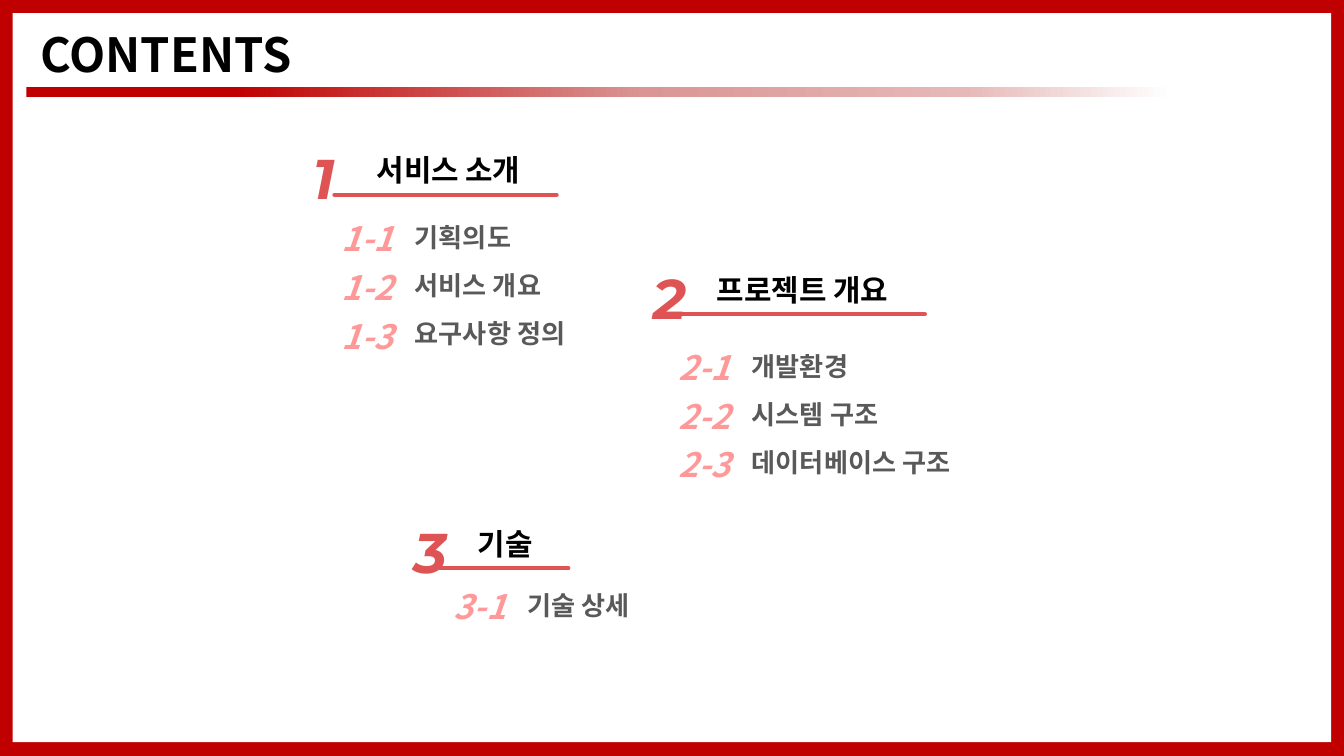
from dataclasses import dataclass

from lxml import etree
from pptx import Presentation
from pptx.dml.color import RGBColor
from pptx.enum.shapes import MSO_CONNECTOR, MSO_SHAPE
from pptx.enum.text import MSO_ANCHOR, MSO_AUTO_SIZE, PP_ALIGN
from pptx.oxml.ns import qn
from pptx.util import Cm, Pt

RECTANGLE = MSO_SHAPE.RECTANGLE
STRAIGHT = MSO_CONNECTOR.STRAIGHT
MIDDLE = MSO_ANCHOR.MIDDLE
LEFT = PP_ALIGN.LEFT
NO_AUTO_SIZE = MSO_AUTO_SIZE.NONE
FIT_SHAPE = MSO_AUTO_SIZE.SHAPE_TO_FIT_TEXT

WIDTH, HEIGHT = 25.4, 14.29
KOREAN_FONT = "Noto Sans CJK KR"
NUMBER_FONT = "Montserrat"
RED, WHITE, BLACK = "C00000", "FFFFFF", "000000"
CORAL, PINK, GRAY = "DE5454", "FF9999", "595959"
BAR_STOPS = [(18, RED), (54, "D99694"), (82, "E6B9B8"), (100, WHITE)]
ITEM_SPACING = 1.21
TOPIC_PITCH = 0.91
CODE_PITCH = 0.93


@dataclass
class Section:
    """One numbered section; positions and widths are in centimetres."""
    number: int
    corner: tuple
    heading: tuple
    rule: tuple
    codes_corner: tuple
    topics: list


SECTIONS = [
    Section(1, (5.66, 2.59), ("서비스 소개", 3.56), (6.32, 10.52), (6.2, 3.84),
            [("기획의도", 2.51), ("서비스 개요", 3.18), ("요구사항 정의", 3.68)]),
    Section(2, (12.09, 4.85), ("프로젝트 개요", 4.14), (12.85, 17.48), (12.57, 6.27),
            [("개발환경", 2.51), ("시스템 구조", 3.18), ("데이터베이스 구조", 4.67)]),
    Section(3, (7.57, 9.65), ("기술", 1.65), (8.13, 10.74), (8.33, 10.8),
            [("기술 상세", 2.69)]),
]


def color(value):
    return RGBColor.from_string(value)


def add_run(paragraph, text, size, fill, font=KOREAN_FONT, italic=False):
    run = paragraph.add_run()
    run.text = text
    run.font.size = Pt(size)
    run.font.name = font
    run.font.bold = True
    run.font.italic = italic
    run.font.color.rgb = color(fill)
    east_asian = etree.SubElement(run.font._element, qn("a:ea"))
    east_asian.set("typeface", font)


def add_text(shapes, box, lines, size, fill, spacing=None, **style):
    shape = shapes.add_textbox(*(Cm(length) for length in box))
    frame = shape.text_frame
    frame.word_wrap = False
    frame.auto_size = FIT_SHAPE
    for index, line in enumerate(lines):
        paragraph = frame.add_paragraph() if index else frame.paragraphs[0]
        paragraph.alignment = LEFT
        if spacing:
            paragraph.line_spacing = spacing
        add_run(paragraph, line, size, fill, **style)


def add_rectangle(shapes, box, fill):
    shape = shapes.add_shape(RECTANGLE, *(Cm(length) for length in box))
    shape.shadow.inherit = False
    shape.line.fill.background()
    shape.fill.solid()
    shape.fill.fore_color.rgb = color(fill)
    return shape


def set_gradient(shape, stops):
    """Fill the shape from left to right with (percent, colour) stops."""
    shape.fill.gradient()
    shape.fill.gradient_angle = 0
    stop_list = shape.element.spPr.find(".//" + qn("a:gsLst"))
    for stop in list(stop_list):
        stop_list.remove(stop)
    for percent, value in stops:
        stop = etree.SubElement(stop_list, qn("a:gs"), pos=str(percent * 1000))
        etree.SubElement(stop, qn("a:srgbClr"), val=value)


def add_rule(shapes, start, end, y):
    rule = shapes.add_connector(STRAIGHT, Cm(start), Cm(y), Cm(end), Cm(y))
    rule.line.color.rgb = color(CORAL)
    rule.line.width = Pt(2.25)
    properties = rule.element.spPr
    properties.find(qn("a:ln")).set("cap", "rnd")
    etree.SubElement(properties, qn("a:effectLst"))


def add_title(slide, text):
    title = slide.shapes.title
    title.left, title.top, title.width, title.height = Cm(0.51), Cm(0.36), Cm(23.6), Cm(1.3)
    frame = title.text_frame
    frame.auto_size = NO_AUTO_SIZE
    frame.vertical_anchor = MIDDLE
    frame.paragraphs[0].alignment = LEFT
    add_run(frame.paragraphs[0], text, 25.2, BLACK)
    # Bring the title in front of the page frame.
    title.element.getparent().append(title.element)


def add_page_frame(shapes):
    add_rectangle(shapes, (0, 0, WIDTH, HEIGHT), RED)
    add_rectangle(shapes, (0.24, 0.25, 24.92, 13.78), WHITE)
    bar = add_rectangle(shapes, (0.5, 1.64, 21.64, 0.2), RED)
    set_gradient(bar, BAR_STOPS)


def add_section(slide, section):
    shapes = slide.shapes.add_group_shape().shapes
    x, y = section.corner
    add_text(shapes, (x, y, 1.22, 1.55), [str(section.number)], 30, CORAL,
             font=NUMBER_FONT, italic=True)
    add_rule(shapes, *section.rule, y + 1.09)
    heading, width = section.heading
    add_text(shapes, (x + 1.21, y + 0.16, width, 0.94), [heading], 16, BLACK)

    x, y = section.codes_corner
    count = len(section.topics)
    codes = [f"{section.number}-{index}" for index in range(1, count + 1)]
    add_text(shapes, (x, y, 1.52, 1.09 + CODE_PITCH * (count - 1)), codes, 18, PINK,
             spacing=ITEM_SPACING, italic=True)
    for index, (topic, width) in enumerate(section.topics):
        box = (x + 1.39, y + 0.1 + index * TOPIC_PITCH, width, 0.91)
        add_text(shapes, box, [topic], 14, GRAY, spacing=ITEM_SPACING)


def main():
    presentation = Presentation()
    presentation.slide_width = Cm(WIDTH)
    presentation.slide_height = Cm(HEIGHT)
    slide = presentation.slides.add_slide(presentation.slide_layouts[5])
    add_page_frame(slide.shapes)
    add_title(slide, "CONTENTS")
    for section in SECTIONS:
        add_section(slide, section)
    presentation.save("out.pptx")


if __name__ == "__main__":
    main()
